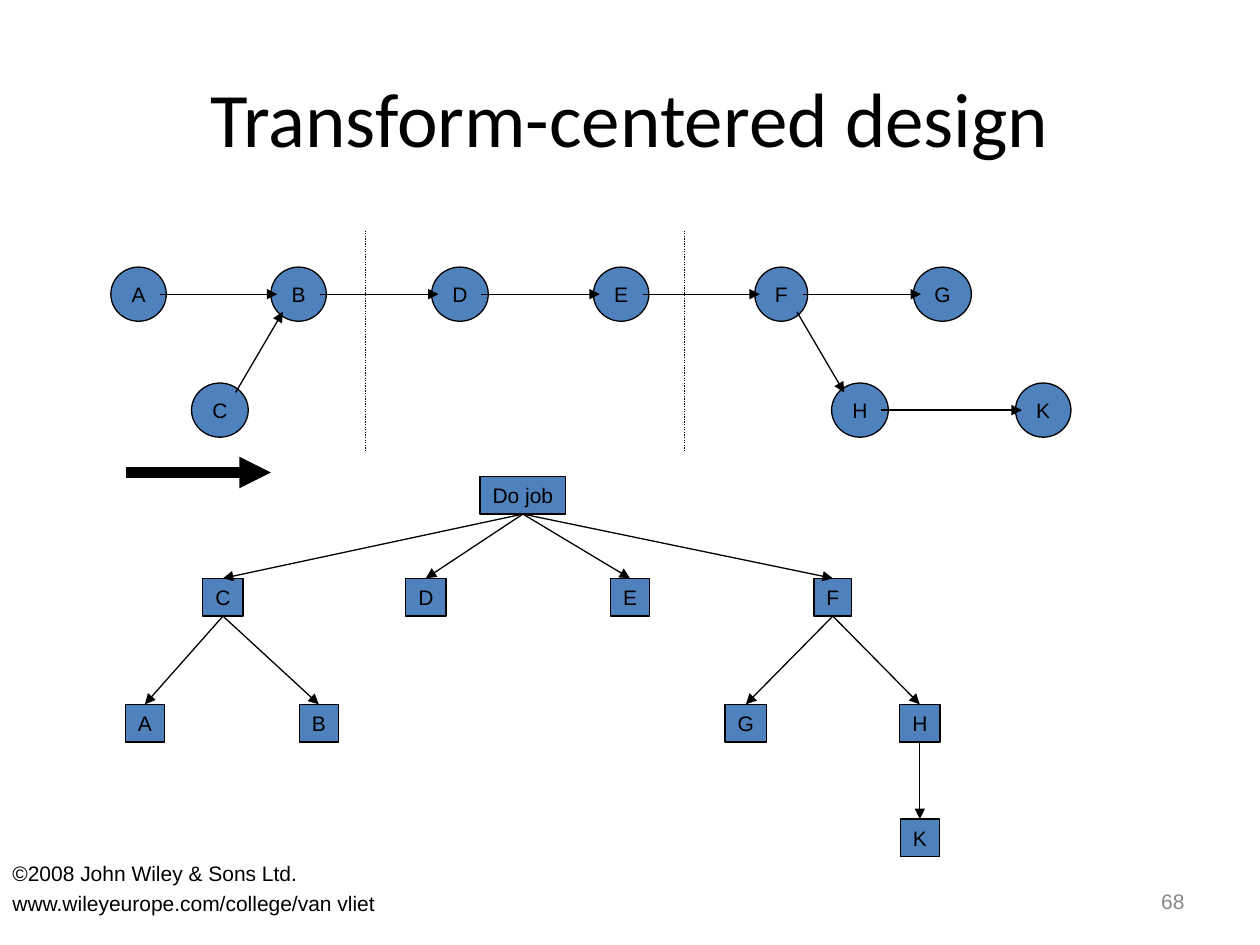
import pptx
import pptx.dml.color
import pptx.enum.dml
import pptx.enum.shapes
import pptx.enum.text
import pptx.oxml.ns
import pptx.util
from lxml import etree
from pptx.util import Inches

BLACK = pptx.dml.color.RGBColor(0x00, 0x00, 0x00)
BLUE = pptx.dml.color.RGBColor(0x4F, 0x81, 0xBD)
GREY = pptx.dml.color.RGBColor(0x89, 0x89, 0x89)
ALIGN = pptx.enum.text.PP_ALIGN
ANCHOR = pptx.enum.text.MSO_ANCHOR
AUTO_SIZE = pptx.enum.text.MSO_AUTO_SIZE
SHAPE = pptx.enum.shapes.MSO_SHAPE

# Content
TITLE = "Transform-centered design"
FOOTER = ["©2008 John Wiley & Sons Ltd.", "www.wileyeurope.com/college/van vliet"]
SLIDE_NUMBER = "68"

# Data flow: label -> centre x, centre y, width
FLOW_TOP, FLOW_BOTTOM = 2.335, 3.255
FLOW_NODES = {
    "A": (1.10, FLOW_TOP, 0.44), "B": (2.37, FLOW_TOP, 0.44),
    "D": (3.65, FLOW_TOP, 0.45), "E": (4.93, FLOW_TOP, 0.44),
    "F": (6.20, FLOW_TOP, 0.42), "G": (7.48, FLOW_TOP, 0.46),
    "C": (1.745, FLOW_BOTTOM, 0.45), "H": (6.825, FLOW_BOTTOM, 0.45),
    "K": (8.28, FLOW_BOTTOM, 0.44),
}
FLOW_EDGES = ["AB", "BD", "DE", "EF", "FG", "CB", "FH", "HK"]
DIVIDERS = [2.90, 5.43]

# Module tree: label -> centre x, centre y, width
TREE_NODES = {
    "Do job": (4.15, 3.93, 0.68),
    "C": (1.77, 4.74, 0.32), "D": (3.38, 4.74, 0.32),
    "E": (5.00, 4.74, 0.31), "F": (6.61, 4.74, 0.30),
    "A": (1.15, 5.74, 0.31), "B": (2.53, 5.74, 0.31),
    "G": (5.92, 5.74, 0.33), "H": (7.30, 5.74, 0.32),
    "K": (7.30, 6.65, 0.31),
}
TREE_CHILDREN = {"Do job": "CDEF", "C": "AB", "F": "GH", "H": "K"}
CIRCLE_HEIGHT, BOX_HEIGHT = 0.43, 0.30

# Formats
TITLE_FONT = {"name": "Calibri", "size": pptx.util.Pt(44)}
SMALL_FONT = {"name": "Arial", "size": pptx.util.Pt(12)}
MARGINS = {"margin_left": Inches(0.1), "margin_right": Inches(0.1),
           "margin_top": Inches(0.05), "margin_bottom": Inches(0.05)}
NODE_FRAME = {**MARGINS, "word_wrap": False, "vertical_anchor": ANCHOR.MIDDLE,
              "auto_size": AUTO_SIZE.SHAPE_TO_FIT_TEXT}


def apply_format(target, values):
    for name, value in values.items():
        setattr(target, name, value)


def write_text(shape, lines, frame_format, font_format, color, alignment):
    frame = shape.text_frame
    apply_format(frame, frame_format)
    frame.text = "\n".join(lines)
    for index, paragraph in enumerate(frame.paragraphs):
        paragraph.alignment = alignment
        if index:
            paragraph.space_before = pptx.util.Pt(3)
        apply_format(paragraph.font, font_format)
        paragraph.font.color.rgb = color


def add_nodes(shapes, kind, nodes, height):
    for label, (x, y, width) in nodes.items():
        node = shapes.add_shape(kind, Inches(x - width / 2), Inches(y - height / 2),
                                Inches(width), Inches(height))
        node.shadow.inherit = False
        node.fill.solid()
        node.fill.fore_color.rgb = BLUE
        node.line.color.rgb = BLACK
        node.line.width = pptx.util.Pt(0.75)
        write_text(node, [label], NODE_FRAME, SMALL_FONT, BLACK, ALIGN.CENTER)


def add_line(shapes, start, end, width=0.75, arrow=True):
    line = shapes.add_connector(pptx.enum.shapes.MSO_CONNECTOR.STRAIGHT,
                                *(Inches(value) for value in (*start, *end)))
    line.line.color.rgb = BLACK
    line.line.width = pptx.util.Pt(width)
    if arrow:
        etree.SubElement(line.line._get_or_add_ln(),
                         pptx.oxml.ns.qn("a:tailEnd"), type="triangle")
    else:
        line.line.dash_style = pptx.enum.dml.MSO_LINE.ROUND_DOT
    etree.SubElement(line._element.spPr, pptx.oxml.ns.qn("a:effectLst"))


def flow_ends(source, target):
    """Ends just inside the circles, level or on the diagonal."""
    (x1, y1, _), (x2, y2, _) = FLOW_NODES[source], FLOW_NODES[target]
    if y1 == y2:
        return (x1 + 0.17, y1), (x2 - 0.17, y2)
    rise = 0.14 if y2 > y1 else -0.14
    return (x1 + 0.125, y1 + rise), (x2 - 0.125, y2 - rise)


def main():
    presentation = pptx.Presentation()
    presentation.slide_width, presentation.slide_height = Inches(10), Inches(7.5)
    slide = presentation.slides.add_slide(presentation.slide_layouts[5])

    # Title
    title = slide.shapes.title
    apply_format(title, {"left": Inches(0.5), "top": Inches(0.3),
                         "width": Inches(9), "height": Inches(1.25)})
    write_text(title, [TITLE], {"vertical_anchor": ANCHOR.MIDDLE},
               TITLE_FONT, BLACK, ALIGN.CENTER)

    # Data flow with its dividers
    flow = slide.shapes.add_group_shape().shapes
    add_nodes(flow, SHAPE.OVAL, FLOW_NODES, CIRCLE_HEIGHT)
    for source, target in FLOW_EDGES:
        add_line(flow, *flow_ends(source, target))
    for x in DIVIDERS:
        add_line(flow, (x, 1.83), (x, 3.58), arrow=False)

    # Thick direction arrow
    add_line(slide.shapes, (1, 3.75), (2.15, 3.75), width=6)

    # Module tree
    tree = slide.shapes.add_group_shape().shapes
    add_nodes(tree, SHAPE.RECTANGLE, TREE_NODES, BOX_HEIGHT)
    for parent, children in TREE_CHILDREN.items():
        x, y, _ = TREE_NODES[parent]
        for child in children:
            child_x, child_y, _ = TREE_NODES[child]
            add_line(tree, (x, y + BOX_HEIGHT / 2), (child_x, child_y - BOX_HEIGHT / 2))

    # Footer and slide number
    footer = slide.shapes.add_textbox(0, Inches(6.78), Inches(6.58), Inches(0.72))
    write_text(footer, FOOTER, {**MARGINS, "word_wrap": True},
               SMALL_FONT, BLACK, ALIGN.LEFT)
    number = slide.shapes.add_textbox(Inches(7.17), Inches(6.95), Inches(2.33), Inches(0.4))
    write_text(number, [SLIDE_NUMBER],
               {**MARGINS, "word_wrap": True, "vertical_anchor": ANCHOR.MIDDLE},
               SMALL_FONT, GREY, ALIGN.RIGHT)

    presentation.save("out.pptx")


if __name__ == "__main__":
    main()
